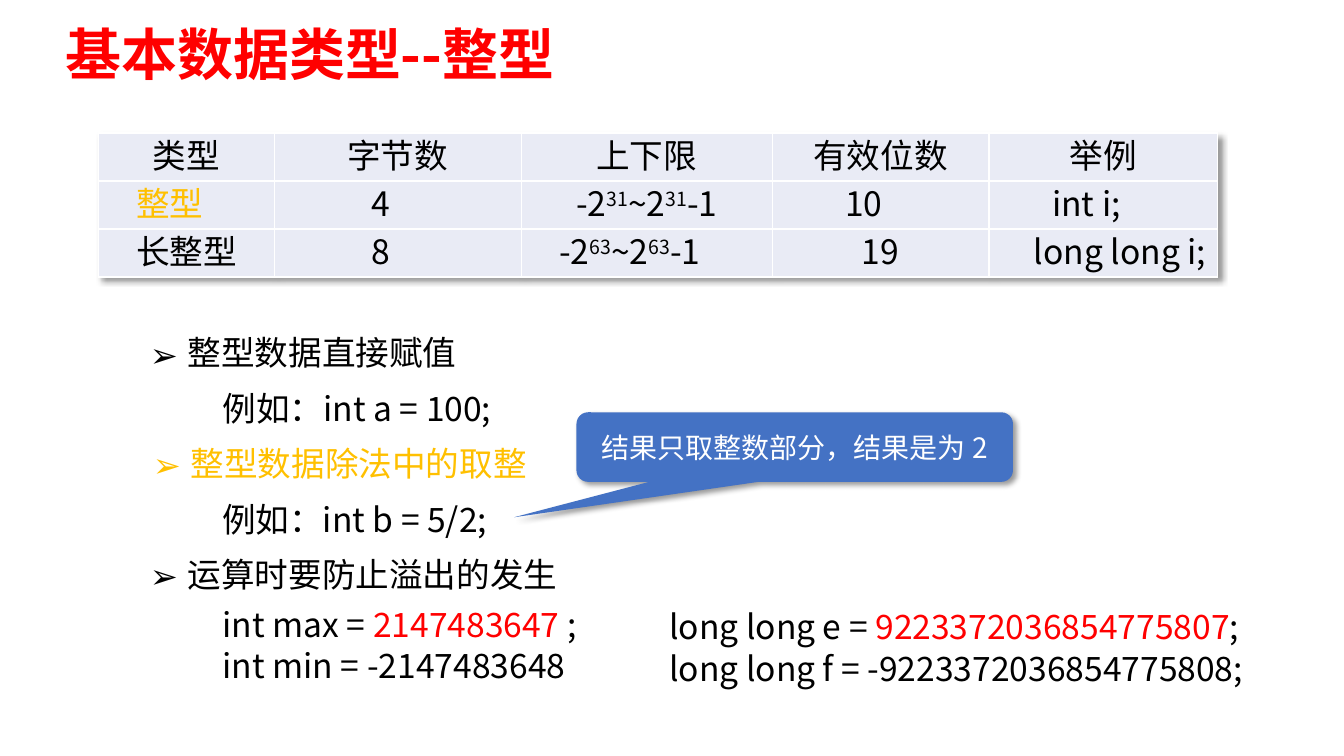
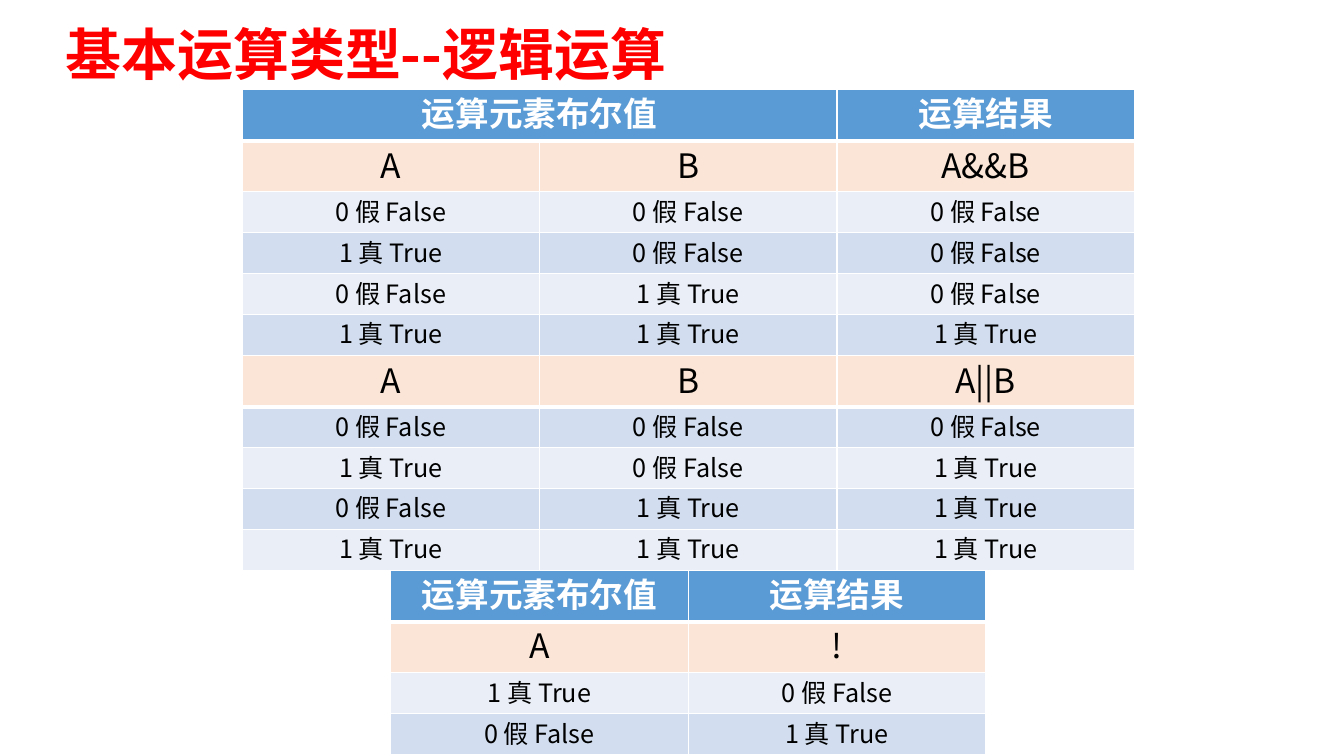
from collections import namedtuple

from lxml import etree
from pptx import Presentation
from pptx.dml.color import RGBColor
from pptx.enum.shapes import MSO_SHAPE
from pptx.enum.text import MSO_ANCHOR, PP_ALIGN
from pptx.oxml.ns import qn
from pptx.util import Pt

CENTER, LEFT = PP_ALIGN.CENTER, PP_ALIGN.LEFT
TOP, MIDDLE = MSO_ANCHOR.TOP, MSO_ANCHOR.MIDDLE
CALLOUT = MSO_SHAPE.ROUNDED_RECTANGULAR_CALLOUT

FONT = "Noto Sans CJK SC"
RED, GOLD, BLACK, WHITE = "FF0000", "FFC000", "000000", "FFFFFF"
CALLOUT_BLUE, HEADER_BLUE, PEACH = "4472C4", "5B9BD5", "FBE5D6"
PALE, BANDS = "E9EBF5", ("EAEFF7", "D2DEEF")
LINE_HEIGHT = 1.25
FALSE_TRUE = ("0 假 False", "1 真 True")

Row = namedtuple("Row", "cells height fill format rule", defaults=({}, 1))


def rgb(value):
    return RGBColor.from_string(value)


def add_xml(parent, tag, **attributes):
    return etree.SubElement(parent, qn(tag), attributes)


def write(frame, *paragraphs, size=24, color=BLACK, bold=False, align=LEFT,
          bullet=None, leading=LINE_HEIGHT):
    """Each paragraph is a string or a list of strings and (string, changes)."""
    for index, parts in enumerate(paragraphs):
        paragraph = frame.add_paragraph() if index else frame.paragraphs[0]
        if bullet:
            properties = paragraph._p.get_or_add_pPr()
            properties.set("marL", str(Pt(27)))
            properties.set("indent", str(-Pt(27)))
            add_xml(properties, "a:buFont", typeface=FONT)
            add_xml(properties, "a:buChar", char=bullet)
        paragraph.alignment = align
        paragraph.line_spacing = Pt(size * leading)
        for part in [parts] if isinstance(parts, str) else parts:
            text, changes = (part, {}) if isinstance(part, str) else part
            run = paragraph.add_run()
            run.text = text
            run.font.size, run.font.bold, run.font.name = Pt(size), bold, FONT
            run.font.color.rgb = rgb(changes.get("color", color))
            properties = run._r.get_or_add_rPr()
            add_xml(properties, "a:ea", typeface=FONT)
            if changes.get("superscript"):
                properties.set("baseline", "30000")


def add_shadow(effects):
    shadow = add_xml(effects, "a:outerShdw", blurRad=str(Pt(4)), dist=str(Pt(3)),
                     dir="2700000", algn="tl", rotWithShape="0")
    add_xml(add_xml(shadow, "a:srgbClr", val=BLACK), "a:alpha", val="40000")


class Deck:
    def __init__(self):
        self.presentation = Presentation()
        self.presentation.slide_width = Pt(960)
        self.presentation.slide_height = Pt(540)
        self.slide = None

    def new_slide(self, title):
        layout = self.presentation.slide_layouts[6]
        self.slide = self.presentation.slides.add_slide(layout)
        self.text(39.6, 8.6, 818.6, 55.4, title, wrap=True,
                  size=40, color=RED, bold=True)

    def text(self, left, top, width, height, *paragraphs, wrap=False, **format):
        box = self.slide.shapes.add_textbox(Pt(left), Pt(top), Pt(width), Pt(height))
        box.text_frame.word_wrap = wrap
        write(box.text_frame, *paragraphs, **format)

    def callout(self, left, top, width, height, text, adjustments):
        shape = self.slide.shapes.add_shape(
            CALLOUT, Pt(left), Pt(top), Pt(width), Pt(height))
        for index, value in enumerate(adjustments):
            shape.adjustments[index] = value
        shape.fill.solid()
        shape.fill.fore_color.rgb = rgb(CALLOUT_BLUE)
        shape.line.fill.background()
        shape.shadow.inherit = False
        add_shadow(shape._element.spPr.find(qn("a:effectLst")))
        shape.text_frame.word_wrap = True
        shape.text_frame.vertical_anchor = MIDDLE
        write(shape.text_frame, text, size=20, color=WHITE, align=CENTER)

    def table(self, left, top, widths, rows, margins=(7.2, 3.6, 7.2, 0),
              anchor=TOP, shadow=False):
        """Draws the rows and returns the table's bottom; None joins the cell before."""
        height = sum(row.height for row in rows)
        table = self.slide.shapes.add_table(
            len(rows), len(widths), Pt(left), Pt(top),
            Pt(sum(widths)), Pt(height)).table
        table.first_row = table.horz_banding = False
        if shadow:
            effects = etree.Element(qn("a:effectLst"))
            table._tbl.tblPr.insert(0, effects)
            add_shadow(effects)
        for column, width in zip(table.columns, widths):
            column.width = Pt(width)
        rule_above = 1
        for r, row in enumerate(rows):
            table.rows[r].height = Pt(row.height)
            for c, content in enumerate(row.cells):
                cell = table.cell(r, c)
                self.style_cell(cell, row, rule_above, margins, anchor)
                if content is None:
                    table.cell(r, c - 1).merge(cell)
                else:
                    write(cell.text_frame, content, align=CENTER, **row.format)
            rule_above = row.rule
        return top + height

    def style_cell(self, cell, row, rule_above, margins, anchor):
        (cell.margin_left, cell.margin_top,
         cell.margin_right, cell.margin_bottom) = map(Pt, margins)
        cell.vertical_anchor = anchor
        properties = cell._tc.get_or_add_tcPr()
        for side, width in zip("LRTB", (1, 1, rule_above, row.rule)):
            line = add_xml(properties, "a:ln" + side, w=str(Pt(width)))
            add_xml(add_xml(line, "a:solidFill"), "a:srgbClr", val=WHITE)
        cell.fill.solid()
        cell.fill.fore_color.rgb = rgb(row.fill)


def integer_range(power, ending="-1"):
    exponent = (power, {"superscript": True})
    return ["-2", exponent, "~2", exponent, ending]


def integer_slide(deck):
    deck.new_slide("基本数据类型--整型")

    # Integer types
    types = [
        ["类型", "字节数", "上下限", "有效位数", "举例"],
        [[("整型　", {"color": GOLD})], "4　", integer_range("31"), "10　", "int i;　"],
        ["长整型", "8　", integer_range("63", "-1　"), "19", "　long long i;"],
    ]
    deck.table(70.6, 95, [125.3, 176.4, 179.3, 154.8, 163.4],
               [Row(cells, 34.3, PALE) for cells in types],
               margins=(0.7, 0.7, 0.7, 0), anchor=MIDDLE, shadow=True)

    # Rules and their examples, on equal steps
    notes = [
        (100, 233.3, "整型数据直接赋值", {"bullet": "➢"}),
        (152, 216.7, "例如：int a = 100;", {}),
        (102.2, 281.5, "整型数据除法中的取整", {"bullet": "➢", "color": GOLD}),
        (151.5, 215.3, "例如：int b = 5/2;", {}),
        (100, 305.3, "运算时要防止溢出的发生", {"bullet": "➢"}),
    ]
    for step, (left, width, text, format) in enumerate(notes):
        deck.text(left, 232.6 + 39.6 * step, width, 36, text, **format)

    # Limits
    deck.text(152, 428, 288.7, 65.5,
              ["int max = ", ("2147483647 ", {"color": RED}), ";"],
              "int min = -2147483648", leading=1.2)
    deck.callout(411.8, 294.5, 311.8, 49.7, "结果只取整数部分，结果是为 2",
                 (-0.643, 1.009, 0.167))
    deck.text(471, 428, 480, 66,
              ["long long e = ", ("9223372036854775807", {"color": RED}), ";"],
              "long long f = -9223372036854775808;", wrap=True)


def logic_slide(deck):
    deck.new_slide("基本运算类型--逻辑运算")
    middle, column = 491.6, 212.5
    pairs = [(0, 0), (1, 0), (0, 1), (1, 1)]

    def header(*cells):
        return Row(cells, 36.5, HEADER_BLUE, {"color": WHITE, "bold": True}, 3)

    def operands(*cells, rule=1):
        return Row(cells, 36.5, PEACH, {}, rule)

    def truth_table(top, heads, cases):
        rows = heads + [
            Row([FALSE_TRUE[value] for value in case], 29.25,
                BANDS[index % 2], {"size": 18})
            for index, case in enumerate(cases, len(heads))]
        count = len(heads[0].cells)
        return deck.table(middle - column * count / 2, top, [column] * count, rows)

    # And, or, not: one under the other
    bottom = truth_table(
        64.1, [header("运算元素布尔值", None, "运算结果"), operands("A", "B", "A&&B")],
        [(a, b, a & b) for a, b in pairs])
    bottom = truth_table(
        bottom, [operands("A", "B", "A||B", rule=3)],
        [(a, b, a | b) for a, b in pairs])
    truth_table(
        bottom, [header("运算元素布尔值", "运算结果"), operands("A", "!")],
        [(a, 1 - a) for a in (1, 0)])


def main():
    deck = Deck()
    integer_slide(deck)
    logic_slide(deck)
    deck.presentation.save("out.pptx")


if __name__ == "__main__":
    main()
